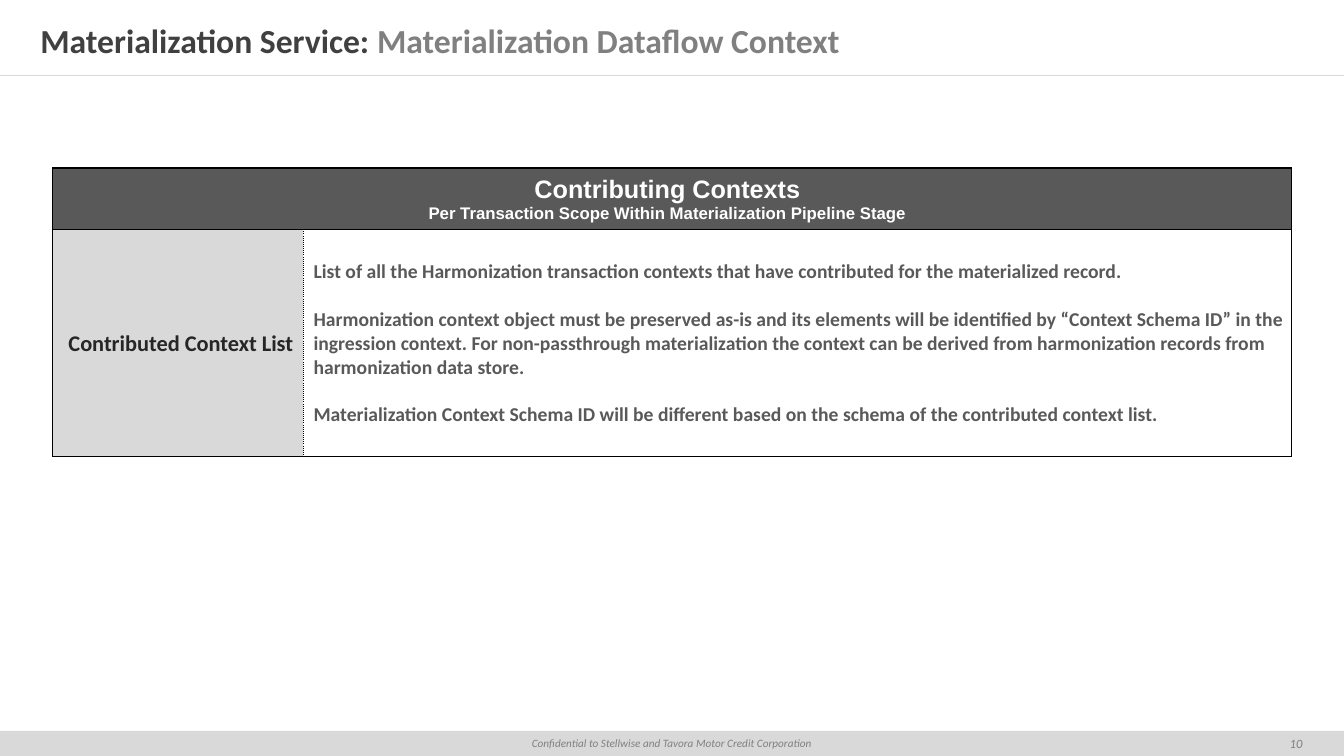
"""Build the Materialization Dataflow Context slide."""
from dataclasses import dataclass
from lxml.etree import SubElement
from pptx import Presentation
from pptx.dml.color import RGBColor as Rgb
from pptx.enum.shapes import MSO_CONNECTOR as Link, MSO_SHAPE as Kind
from pptx.enum.text import MSO_ANCHOR as Anchor, PP_ALIGN as Align
from pptx.oxml import parse_xml
from pptx.oxml.ns import nsdecls, qn
from pptx.util import Inches, Pt


@dataclass(frozen=True)
class Theme:
    body: str = "Calibri"
    head: str = "Arial"
    black: str = "000000"
    ink: str = "262626"
    dark: str = "404040"
    slate: str = "595959"
    gray: str = "808080"
    pale: str = "D9D9D9"
    white: str = "FFFFFF"
    title: int = 24
    large: int = 18
    label: int = 16
    text: int = 14
    small: int = 12
    page: int = 9
    foot: int = 8


T = Theme()
TITLE = ("Materialization Service: ", "Materialization Dataflow Context")
HEAD = ("Contributing Contexts",
        "Per Transaction Scope Within Materialization Pipeline Stage")
LABEL = "Contributed Context List"
NOTES = (
    "List of all the Harmonization transaction contexts that have contributed for the materialized record.",
    "Harmonization context object must be preserved as-is and its elements will be identified by “Context Schema ID” in the ingression context. For non-passthrough materialization the context can be derived from harmonization records from harmonization data store.",
    "Materialization Context Schema ID will be different based on the schema of the contributed context list.",
)
FOOT = "Confidential to Stellwise and Tavora Motor Credit Corporation"
PAGE = "10"
WIDE, HIGH = 13.33, 7.5
COLS, ROWS = (2.49, 9.8), (0.61, 2.25)
LEFT, TOP = 0.52, 1.67
GAP = 17


def style(run, size, color, face=T.body, bold=False, slant=False):
    font = run.font
    font.size, font.name = Pt(size), face
    font.bold, font.italic = bold, slant
    font.color.rgb = Rgb.from_string(color)


def inset(item, left, top, right, base):
    item.margin_left, item.margin_top = Inches(left), Inches(top)
    item.margin_right, item.margin_bottom = Inches(right), Inches(base)


def write(frame, lines, sizes, color, face=T.body, align=Align.LEFT,
          gap=0, bold=True, slant=False):
    frame.text = "\n".join(lines)
    for i, (para, size) in enumerate(zip(frame.paragraphs, sizes)):
        para.alignment = align
        if i and gap:
            para.space_before = Pt(gap)
        style(para.runs[0], size, color, face, bold, slant)


def box(slide, left, top, wide, high, pad):
    frame = slide.shapes.add_textbox(
        Inches(left), Inches(top), Inches(wide), Inches(high)).text_frame
    frame.word_wrap, frame.vertical_anchor = True, Anchor.MIDDLE
    inset(frame, *pad)
    return frame


def border(cell, top=1, left="solid", right="solid"):
    props = cell._tc.get_or_add_tcPr()
    sides = (("L", 1, left), ("R", 1, right), ("T", top, "solid"), ("B", 1, "solid"))
    for i, (side, size, dash) in enumerate(sides):
        line = parse_xml(f'<a:ln{side} {nsdecls("a")} w="{Pt(size)}"><a:solidFill>'
                         f'<a:srgbClr val="{T.black}"/></a:solidFill>'
                         f'<a:prstDash val="{dash}"/></a:ln{side}>')
        props.insert(i, line)


def paint(cell, color, pad):
    cell.fill.solid()
    cell.fill.fore_color.rgb = Rgb.from_string(color)
    cell.vertical_anchor = Anchor.MIDDLE
    inset(cell, *pad)


def frame_page(slide):
    bar = slide.shapes.add_shape(
        Kind.RECTANGLE, 0, Inches(7.25), Inches(WIDE), Inches(HIGH - 7.25))
    bar.shadow.inherit = False
    bar.fill.solid()
    bar.fill.fore_color.rgb = Rgb.from_string(T.pale)
    bar.line.fill.background()
    bar.text_frame.vertical_anchor = Anchor.MIDDLE
    write(bar.text_frame, [FOOT], [T.foot], T.gray, align=Align.CENTER,
          bold=False, slant=True)
    rule = slide.shapes.add_connector(
        Link.STRAIGHT, 0, Inches(0.75), Inches(WIDE), Inches(0.75))
    rule.line.color.rgb = Rgb.from_string(T.pale)
    rule.line.width = Pt(0.25)
    SubElement(rule._element.spPr, qn("a:effectLst"))
    page = box(slide, 12.5, 7.25, 0.71, 0.25, (0.1,) * 4)
    write(page, [PAGE], [T.page], T.gray, align=Align.CENTER,
          bold=False, slant=True)


def add_title(slide):
    para = box(slide, 0, 0.16, WIDE, 0.48, (0.4, 0.2, 0.4, 0.2)).paragraphs[0]
    for words, color in zip(TITLE, (T.dark, T.gray)):
        run = para.add_run()
        run.text = words
        style(run, T.title, color, bold=True)


def add_grid(slide):
    grid = slide.shapes.add_table(
        len(ROWS), len(COLS), Inches(LEFT), Inches(TOP),
        Inches(sum(COLS)), Inches(sum(ROWS))).table
    for col, wide in zip(grid.columns, COLS):
        col.width = Inches(wide)
    for row, high in zip(grid.rows, ROWS):
        row.height = Inches(high)
    head, label, notes = grid.cell(0, 0), grid.cell(1, 0), grid.cell(1, 1)
    head.merge(grid.cell(0, 1))
    for cell in (head, grid.cell(0, 1)):
        paint(cell, T.slate, (0.01, 0.01, 0.1, 0))
        border(cell, top=1.5)
    paint(label, T.pale, (0.01, 0.01, 0.1, 0))
    border(label, right="sysDot")
    paint(notes, T.white, (0.1, 0.01, 0.01, 0))
    border(notes, left="sysDot")
    write(head.text_frame, HEAD, (T.large, T.small), T.white, T.head, Align.CENTER)
    write(label.text_frame, [LABEL], [T.label], T.ink, align=Align.RIGHT)
    write(notes.text_frame, NOTES, [T.text] * len(NOTES), T.slate, gap=GAP)


def main():
    deck = Presentation()
    deck.slide_width, deck.slide_height = Inches(WIDE), Inches(HIGH)
    slide = deck.slides.add_slide(deck.slide_layouts[6])
    frame_page(slide)
    add_title(slide)
    add_grid(slide)
    deck.save("out.pptx")


if __name__ == "__main__":
    main()
